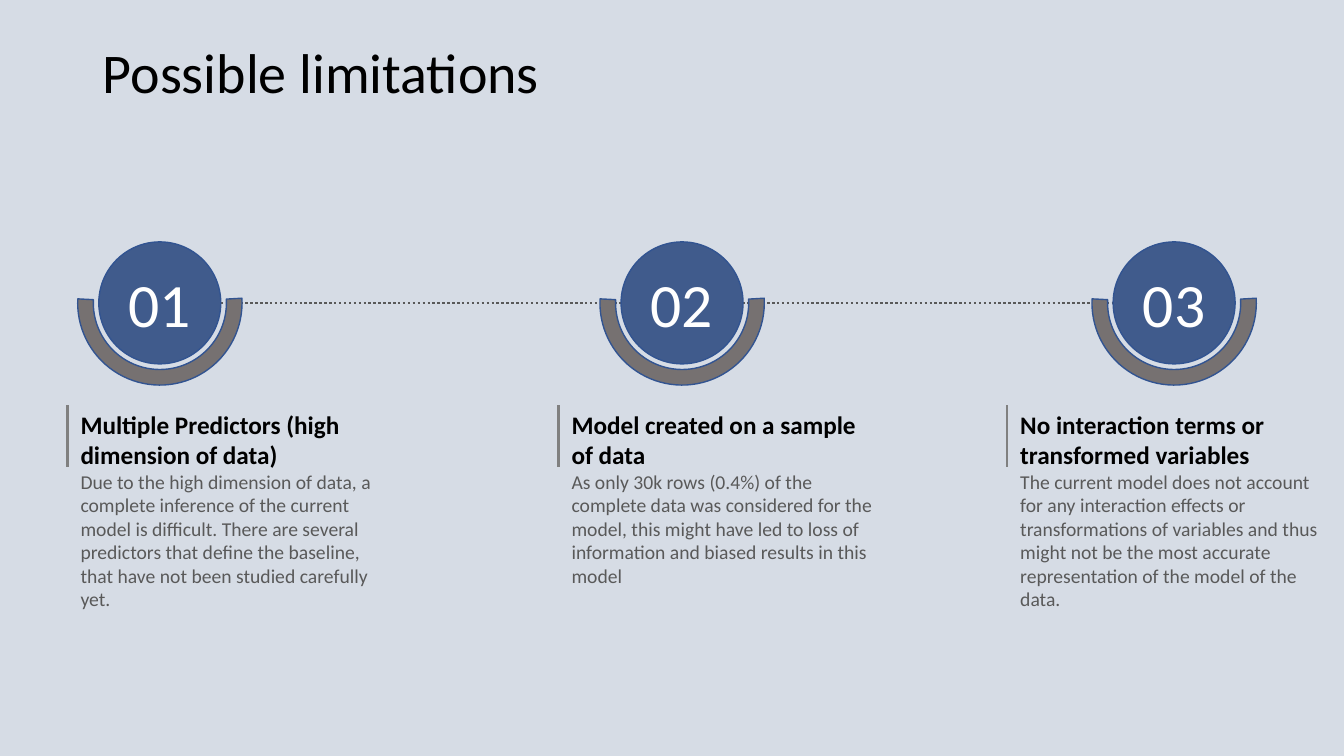
from dataclasses import dataclass

from pptx import Presentation
from pptx.dml.color import RGBColor
from pptx.enum.dml import MSO_LINE
from pptx.enum.shapes import MSO_CONNECTOR, MSO_SHAPE
from pptx.enum.text import MSO_ANCHOR, MSO_AUTO_SIZE, PP_ALIGN
from pptx.oxml.ns import qn
from pptx.util import Inches, Pt
from lxml.etree import SubElement


@dataclass(frozen=True)
class Theme:
    font: str = "Calibri"
    background: str = "D6DCE5"
    ink: str = "000000"
    muted: str = "595959"
    badge: str = "405B8C"
    outline: str = "325491"
    cradle: str = "767171"
    rule: str = "808080"
    white: str = "FFFFFF"
    title_size: int = 40
    number_size: int = 44
    heading_size: int = 18
    body_size: int = 14


THEME = Theme()
BADGE_TOP, BADGE_SIZE = 2.4, 1.21
TEXT_TOP, TEXT_WIDTH = 4.01, 3.28

# Badge left, text left, heading, explanation, text height
LIMITATIONS = [
    (0.98, 0.7, "Multiple Predictors (high dimension of data)",
     "Due to the high dimension of data, a complete inference of the current "
     "model is difficult. There are several predictors that define the baseline, "
     "that have not been studied carefully yet.", 2.12),
    (6.16, 5.57, "Model created on a sample of data",
     "As only 30k rows (0.4%) of the complete data was considered for the model, "
     "this might have led to loss of information and biased results in this model",
     1.88),
    (11.04, 10.02, "No interaction terms or transformed variables",
     "The current model does not account for any interaction effects or "
     "transformations of variables and thus might not be the most accurate "
     "representation of the model of the data.", 2.12),
]


def color(value):
    return RGBColor.from_string(value)


def write(paragraph, text, *, size, ink, bold=False, align=PP_ALIGN.LEFT):
    paragraph.alignment = align
    run = paragraph.add_run()
    run.text = text
    run.font.name = THEME.font
    run.font.size = Pt(size)
    run.font.bold = bold
    run.font.color.rgb = color(ink)


def add_line(slide, start, end, *, ink, width, dash=None):
    line = slide.shapes.add_connector(
        MSO_CONNECTOR.STRAIGHT, *map(Inches, (*start, *end)))
    line.line.color.rgb = color(ink)
    line.line.width = Pt(width)
    if dash:
        line.line.dash_style = dash
    SubElement(line._element.spPr, qn("a:effectLst"))


def add_outlined_shape(slide, kind, left, top, size, fill):
    shape = slide.shapes.add_shape(kind, *map(Inches, (left, top, size, size)))
    shape.shadow.inherit = False
    shape.fill.solid()
    shape.fill.fore_color.rgb = color(fill)
    shape.line.color.rgb = color(THEME.outline)
    shape.line.width = Pt(1)
    return shape


def add_title(slide, left, top, width, height):
    title = slide.shapes.title
    title.left, title.top, title.width, title.height = map(
        Inches, (left, top, width, height))
    frame = title.text_frame
    frame.vertical_anchor = MSO_ANCHOR.TOP
    frame.paragraphs[0].line_spacing = 0.9
    write(frame.paragraphs[0], "Possible limitations",
          size=THEME.title_size, ink=THEME.ink)


def add_badge(slide, left, top, size, number):
    """Draw a numbered disc resting in a half-ring."""
    disc = add_outlined_shape(slide, MSO_SHAPE.OVAL, left, top, size, THEME.badge)
    frame = disc.text_frame
    frame.vertical_anchor = MSO_ANCHOR.MIDDLE
    frame.word_wrap = False
    write(frame.paragraphs[0], f"{number:02}", size=THEME.number_size,
          ink=THEME.white, align=PP_ALIGN.CENTER)

    margin = 0.21
    cradle = add_outlined_shape(slide, MSO_SHAPE.BLOCK_ARC, left - margin,
                                top - margin, size + 2 * margin, THEME.cradle)
    cradle.rotation = 176.7
    for index, value in enumerate((108, 3.67, 0.095)):
        cradle.adjustments[index] = value


def add_explanation(slide, left, top, width, height, heading, body):
    box = slide.shapes.add_textbox(*map(Inches, (left, top, width, height)))
    frame = box.text_frame
    frame.word_wrap = True
    frame.auto_size = MSO_AUTO_SIZE.SHAPE_TO_FIT_TEXT
    write(frame.paragraphs[0], heading, size=THEME.heading_size,
          ink=THEME.ink, bold=True)
    write(frame.add_paragraph(), body, size=THEME.body_size, ink=THEME.muted)
    rule_left, rule_top = left - 0.03, top + 0.01
    add_line(slide, (rule_left, rule_top), (rule_left, rule_top + 0.61),
             ink=THEME.rule, width=1.5)


def add_limitations_slide(presentation):
    slide = presentation.slides.add_slide(presentation.slide_layouts[5])
    slide.background.fill.solid()
    slide.background.fill.fore_color.rgb = color(THEME.background)
    add_title(slide, 0.92, 0.4, 11.5, 1.45)

    middle = BADGE_TOP + BADGE_SIZE / 2
    add_line(slide, (LIMITATIONS[0][0] + BADGE_SIZE, middle),
             (LIMITATIONS[-1][0], middle),
             ink=THEME.muted, width=1.75, dash=MSO_LINE.ROUND_DOT)
    for number, (badge_left, text_left, heading, body, height) in enumerate(
            LIMITATIONS, start=1):
        add_badge(slide, badge_left, BADGE_TOP, BADGE_SIZE, number)
        add_explanation(slide, text_left, TEXT_TOP, TEXT_WIDTH, height,
                        heading, body)


def main():
    presentation = Presentation()
    presentation.slide_width = Inches(13.33)
    presentation.slide_height = Inches(7.5)
    add_limitations_slide(presentation)
    presentation.save("out.pptx")


if __name__ == "__main__":
    main()
